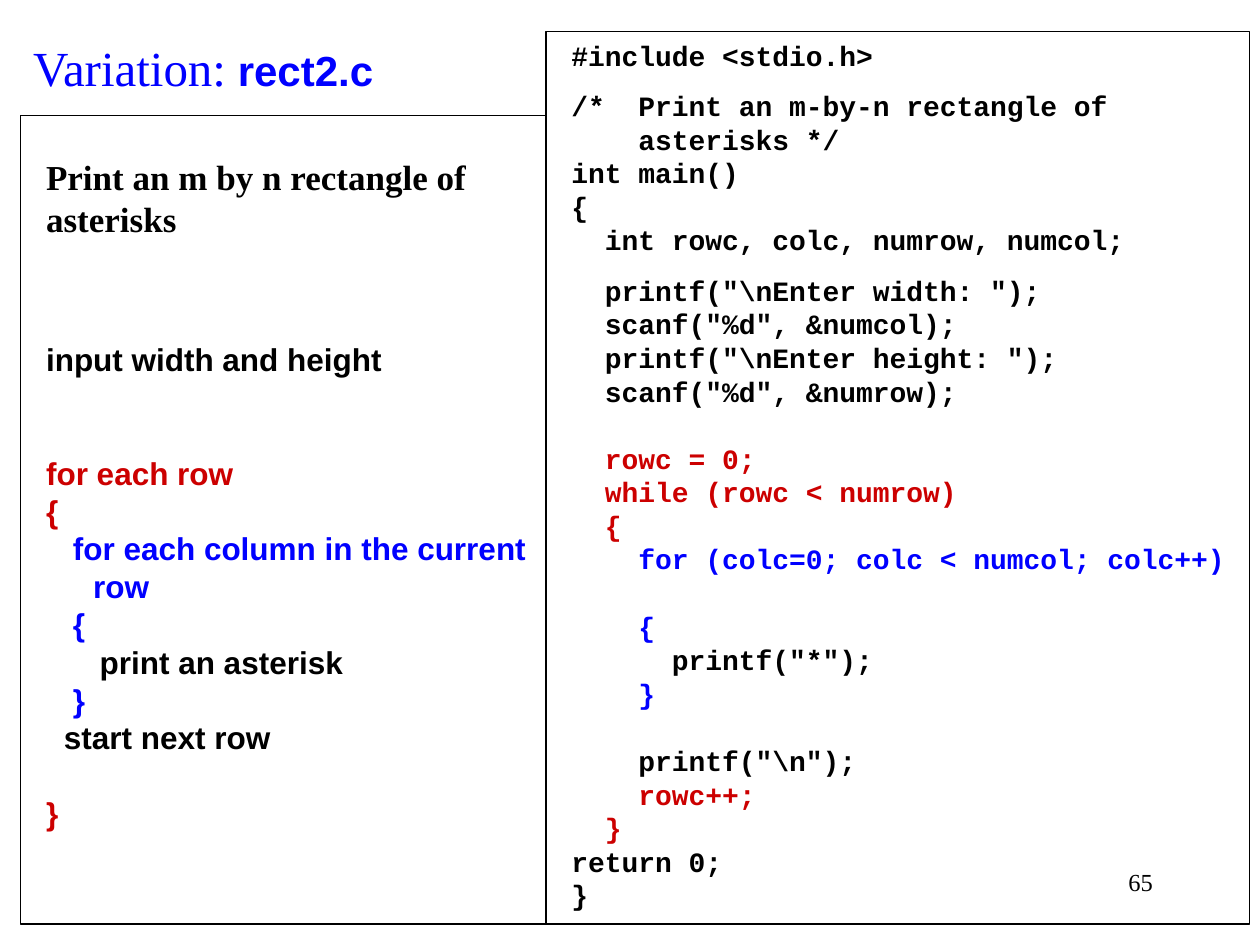
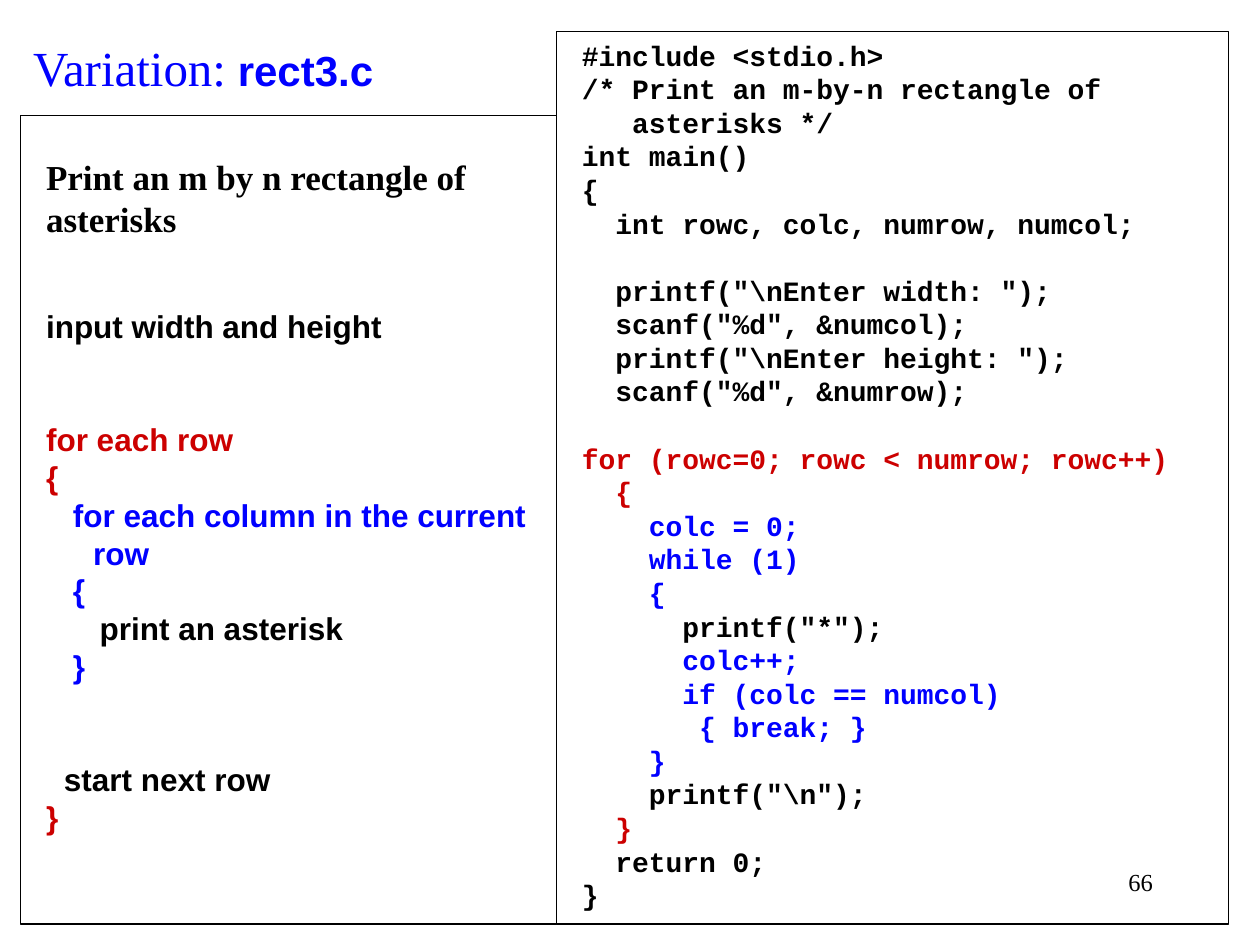
"""Build two slides that set pseudocode beside a C program."""
from dataclasses import dataclass

from pptx import Presentation
from pptx.dml.color import RGBColor
from pptx.enum.shapes import MSO_SHAPE
from pptx.enum.text import MSO_ANCHOR, PP_ALIGN
from pptx.util import Cm, Pt

RECTANGLE = MSO_SHAPE.RECTANGLE
TOP = MSO_ANCHOR.TOP
LEFT, RIGHT = PP_ALIGN.LEFT, PP_ALIGN.RIGHT

COLORS = {"black": "000000", "red": "CC0000", "blue": "0000FF"}
SERIF, SANS, MONO = "Times New Roman", "Arial", "Courier New"
LINE_HEIGHT = 1.2
GAP_8, GAP_16, GAP_18 = (size * LINE_HEIGHT for size in (8, 16, 18))
HANGING = 0.95
SPACE_WIDTH = 0.18
PANEL_LEFT, PANEL_BOTTOM = 0.42, 18.63
CODE_TOP, BODY_TOP = 0.64, 2.33
INSET, WIDE_INSET = 0.13, 0.51


@dataclass
class Line:
    """One paragraph, with the points of space above it."""

    text: str
    color: str = "black"
    gap: float = 0
    indent: int = 0
    size: int = 16
    font: str = MONO


@dataclass
class Program:
    """The content of one slide."""

    name: str
    number: int
    code_left: float
    code_width: float
    pseudocode: list[Line]
    code: list[Line]


def pseudo(text: str, color: str = "black", gap: float = 0, indent: int = 0) -> Line:
    """Return a pseudocode line."""
    return Line(text, color, gap, indent, 18, SANS)


def rectangle_steps(input_gap: float, next_gap: float, end_gap: float) -> list[Line]:
    """Return the pseudocode that both programs follow."""
    return [
        Line("Print an m by n rectangle of", size=20, font=SERIF),
        Line("asterisks", size=20, font=SERIF),
        pseudo("input width and height", gap=input_gap),
        pseudo("for each row", "red", 2 * GAP_18),
        pseudo("{", "red"),
        pseudo("for each column in the current row", "blue", indent=3),
        pseudo("{", "blue", indent=3),
        pseudo("print an asterisk", indent=6),
        pseudo("}", "blue", indent=3),
        pseudo("start next row", gap=next_gap, indent=2),
        pseudo("}", "red", end_gap),
    ]


def read_size(gap: float) -> list[Line]:
    """Return the code lines that declare and read the sizes."""
    return [
        Line("int main()"),
        Line("{"),
        Line("  int rowc, colc, numrow, numcol;"),
        Line('  printf("\\nEnter width: ");', gap=gap),
        Line('  scanf("%d", &numcol);'),
        Line('  printf("\\nEnter height: ");'),
        Line('  scanf("%d", &numrow);'),
    ]


PROGRAMS = [
    Program(
        "rect2.c", 65, 11.01, 14.18,
        rectangle_steps(3 * GAP_16, 0, GAP_18),
        [
            Line("#include <stdio.h>"),
            Line("/*  Print an m-by-n rectangle of", gap=GAP_8),
            Line("    asterisks */"),
            *read_size(GAP_8),
            Line("  rowc = 0;", "red", GAP_16),
            Line("  while (rowc < numrow)", "red"),
            Line("  {", "red"),
            Line("    for (colc=0; colc < numcol; colc++)", "blue"),
            Line("    {", "blue", GAP_16),
            Line('      printf("*");'),
            Line("    }", "blue"),
            Line('    printf("\\n");', gap=GAP_16),
            Line("    rowc++;", "red"),
            Line("  }", "red"),
            Line("return 0;"),
            Line("}"),
        ],
    ),
    Program(
        "rect3.c", 66, 11.22, 13.55,
        rectangle_steps(2 * GAP_16, 2 * GAP_18, 0),
        [
            Line("#include <stdio.h>"),
            Line("/* Print an m-by-n rectangle of"),
            Line("   asterisks */"),
            *read_size(GAP_16),
            Line("for (rowc=0; rowc < numrow; rowc++)", "red", GAP_16),
            Line("  {", "red"),
            Line("    colc = 0;", "blue"),
            Line("    while (1)", "blue"),
            Line("    {", "blue"),
            Line('      printf("*");'),
            Line("      colc++;", "blue"),
            Line("      if (colc == numcol)", "blue"),
            Line("       { break; }", "blue"),
            Line("    }", "blue"),
            Line('    printf("\\n");'),
            Line("  }", "red"),
            Line("  return 0;"),
            Line("}"),
        ],
    ),
]


def style_font(font, name: str, size: int, color: str, bold: bool) -> None:
    """Set the typeface, size, colour and weight of a font."""
    font.name, font.size, font.bold = name, Pt(size), bold
    font.color.rgb = RGBColor.from_string(COLORS[color])


def add_text_box(slide, left: float, top: float, width: float, height: float):
    """Add a wrapping text box and return its first paragraph."""
    shape = slide.shapes.add_textbox(Cm(left), Cm(top), Cm(width), Cm(height))
    shape.text_frame.word_wrap = True
    return shape.text_frame.paragraphs[0]


def add_panel(slide, left: float, top: float, width: float,
              top_inset: float, lines: list[Line]) -> None:
    """Add an outlined panel with one paragraph for each line."""
    shape = slide.shapes.add_shape(
        RECTANGLE, Cm(left), Cm(top), Cm(width), Cm(PANEL_BOTTOM - top))
    shape.shadow.inherit = False
    shape.fill.background()
    shape.line.color.rgb = RGBColor.from_string(COLORS["black"])
    shape.line.width = Pt(0.75)
    frame = shape.text_frame
    frame.word_wrap = True
    frame.vertical_anchor = TOP
    frame.margin_left, frame.margin_top = Cm(WIDE_INSET), Cm(top_inset)
    for index, line in enumerate(lines):
        paragraph = frame.add_paragraph() if index else frame.paragraphs[0]
        paragraph.text = line.text
        paragraph.alignment = LEFT
        paragraph.line_spacing = Pt(line.size * LINE_HEIGHT)
        if line.gap:
            paragraph.space_before = Pt(line.gap)
        properties = paragraph._p.get_or_add_pPr()
        properties.set("marL", str(Cm(HANGING)))
        properties.set("indent", str(Cm(line.indent * SPACE_WIDTH - HANGING)))
        style_font(paragraph.font, line.font, line.size, line.color, True)


def add_title(slide, name: str) -> None:
    """Add the title with the file name in bold."""
    paragraph = add_text_box(slide, PANEL_LEFT, CODE_TOP, 8.26, 1.45)
    paragraph.line_spacing = Pt(28 * LINE_HEIGHT)
    for text, font, size, bold in (("Variation:", SERIF, 28, False),
                                   (f" {name}", SANS, 24, True)):
        run = paragraph.add_run()
        run.text = text
        style_font(run.font, font, size, "blue", bold)


def add_slide_number(slide, number: int) -> None:
    """Add the slide number at the lower right."""
    paragraph = add_text_box(slide, 18.2, 17.36, 5.29, 1.27)
    paragraph.text = str(number)
    paragraph.alignment = RIGHT
    paragraph.line_spacing = Pt(14 * LINE_HEIGHT)
    style_font(paragraph.font, SERIF, 14, "black", False)


def add_program_slide(presentation, program: Program) -> None:
    """Add one slide with title, pseudocode and program."""
    slide = presentation.slides.add_slide(presentation.slide_layouts[6])
    add_slide_number(slide, program.number)
    add_panel(slide, program.code_left, CODE_TOP, program.code_width,
              INSET, program.code)
    add_title(slide, program.name)
    add_panel(slide, PANEL_LEFT, BODY_TOP, program.code_left - PANEL_LEFT,
              INSET + Pt(GAP_16).cm, program.pseudocode)


def main() -> None:
    """Build and save the presentation."""
    presentation = Presentation()
    presentation.slide_width, presentation.slide_height = Cm(25.4), Cm(19.05)
    for program in PROGRAMS:
        add_program_slide(presentation, program)
    presentation.save("out.pptx")


if __name__ == "__main__":
    main()
